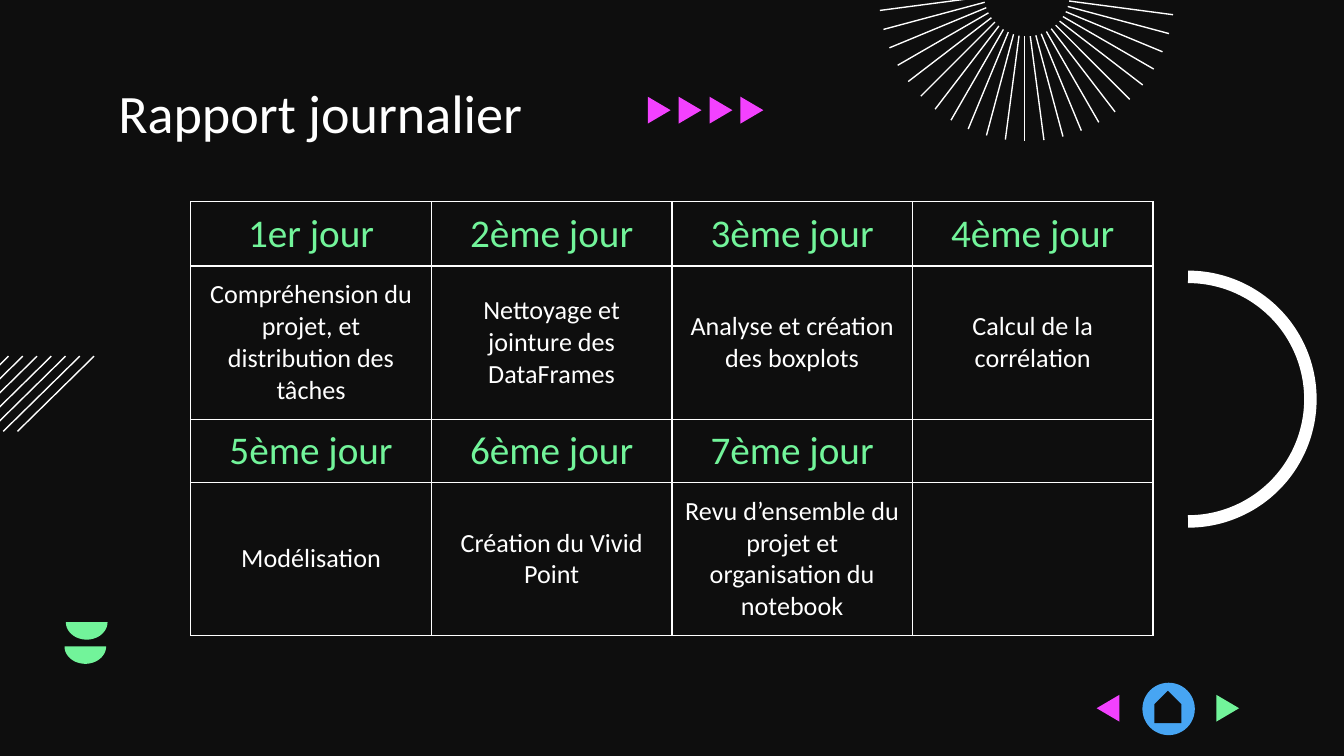
import math

import lxml.etree
import pptx
import pptx.dml.color
import pptx.enum.shapes
import pptx.enum.text
import pptx.oxml.ns
import pptx.util

Inches = pptx.util.Inches
Pt = pptx.util.Pt
RGBColor = pptx.dml.color.RGBColor
MSO_SHAPE = pptx.enum.shapes.MSO_SHAPE
MSO_ANCHOR = pptx.enum.text.MSO_ANCHOR
PP_ALIGN = pptx.enum.text.PP_ALIGN
qn = pptx.oxml.ns.qn

BLACK = RGBColor(0x0E, 0x0E, 0x0E)
WHITE = RGBColor(0xFF, 0xFF, 0xFF)
GREEN = RGBColor(0x72, 0xF4, 0x9A)
PINK = RGBColor(0xF3, 0x41, 0xFF)
BLUE = RGBColor(0x47, 0xA5, 0xF3)
FONT = "Calibri"

SCHEDULE = [
    ["1er jour", "2ème jour", "3ème jour", "4ème jour"],
    [
        "Compréhension du projet, et distribution des tâches",
        "Nettoyage et jointure des DataFrames",
        "Analyse et création des boxplots",
        "Calcul de la corrélation",
    ],
    ["5ème jour", "6ème jour", "7ème jour", ""],
    [
        "Modélisation",
        "Création du Vivid Point",
        "Revu d’ensemble du projet et organisation du notebook",
        "",
    ],
]
ROW_HEIGHTS = [0.48, 1.14, 0.47, 1.14]


def format_text(paragraph, size, color, alignment):
    paragraph.alignment = alignment
    paragraph.font.name = FONT
    paragraph.font.size = Pt(size)
    paragraph.font.color.rgb = color


def fill_plain(shape, color):
    shape.shadow.inherit = False
    shape.fill.solid()
    shape.fill.fore_color.rgb = color
    shape.line.fill.background()


def add_polygon(slide, points, color):
    corners = [(Inches(x), Inches(y)) for x, y in points]
    builder = slide.shapes.build_freeform(*corners[0])
    builder.add_line_segments(corners[1:])
    fill_plain(builder.convert_to_shape(), color)


def add_triangle(slide, base_x, top, color, direction=1):
    """Draw a triangle pointing right (direction 1) or left (direction -1)."""
    tip_x = base_x + 0.17 * direction
    points = [(base_x, top), (tip_x, top + 0.1), (base_x, top + 0.2)]
    add_polygon(slide, points, color)


def add_half_disc(slide, left, top):
    radius, depth, steps = 0.155, 0.13, 32
    angles = [math.pi * step / steps for step in range(steps + 1)]
    points = [
        (left + radius * (1 - math.cos(angle)), top + depth * math.sin(angle))
        for angle in angles
    ]
    add_polygon(slide, points, GREEN)


def add_line(slide, start, end):
    line = slide.shapes.add_connector(
        pptx.enum.shapes.MSO_CONNECTOR.STRAIGHT,
        *[Inches(value) for value in (*start, *end)],
    )
    line.line.color.rgb = WHITE
    line.line.width = Pt(0.75)
    properties = line._element.find(qn("p:spPr"))
    lxml.etree.SubElement(properties, qn("a:effectLst"))


def add_sunburst(slide):
    """Fan out rays whose midpoints are turned slightly against their direction."""
    center_x, center_y = 7.64, -0.05
    middle_radius, half_length = 0.71, 0.39
    turn = math.radians(1.3)
    for step in range(-11, 12):
        angle = math.radians(7.5 * step)
        middle_x = center_x + middle_radius * math.sin(angle - turn)
        middle_y = center_y + middle_radius * math.cos(angle - turn)
        across = half_length * math.sin(angle)
        down = half_length * math.cos(angle)
        add_line(
            slide,
            (middle_x - across, middle_y - down),
            (middle_x + across, middle_y + down),
        )


def add_half_ring(slide):
    arc = slide.shapes.add_shape(
        MSO_SHAPE.ARC, Inches(7.93), Inches(2.06), Inches(1.82), Inches(1.82)
    )
    # Angles are in 60000ths of a degree, scaled down by 100000
    arc.adjustments[0] = 270 * 0.6
    arc.adjustments[1] = 90 * 0.6
    arc.shadow.inherit = False
    arc.fill.background()
    arc.line.color.rgb = WHITE
    arc.line.width = Pt(6.69)


def add_home_button(slide):
    disc = slide.shapes.add_shape(
        MSO_SHAPE.OVAL, Inches(8.5), Inches(5.08), Inches(0.39), Inches(0.39)
    )
    fill_plain(disc, BLUE)
    house = slide.shapes.add_shape(
        MSO_SHAPE.PENTAGON, Inches(8.57), Inches(5.16), Inches(0.24), Inches(0.2)
    )
    house.rotation = 270
    fill_plain(house, BLACK)


def set_borders(cell):
    properties = cell._tc.get_or_add_tcPr()
    for position, side in enumerate(("a:lnL", "a:lnR", "a:lnT", "a:lnB")):
        border = lxml.etree.Element(qn(side), w=str(Pt(0.75)))
        fill = lxml.etree.SubElement(border, qn("a:solidFill"))
        lxml.etree.SubElement(fill, qn("a:srgbClr"), val=str(WHITE))
        properties.insert(position, border)


def add_schedule(slide):
    frame = slide.shapes.add_table(
        len(SCHEDULE), len(SCHEDULE[0]),
        Inches(1.42), Inches(1.5), Inches(7.16), Inches(sum(ROW_HEIGHTS)),
    )
    table = frame.table
    table.first_row = False
    table.horz_banding = False
    for row_index, texts in enumerate(SCHEDULE):
        table.rows[row_index].height = Inches(ROW_HEIGHTS[row_index])
        is_heading = row_index % 2 == 0
        for column_index, text in enumerate(texts):
            cell = table.cell(row_index, column_index)
            cell.text = text
            cell.fill.background()
            cell.vertical_anchor = MSO_ANCHOR.MIDDLE
            cell.margin_top = cell.margin_bottom = 0
            cell.margin_left = cell.margin_right = Inches(0 if is_heading else 0.08)
            size, color = (21, GREEN) if is_heading else (14, WHITE)
            format_text(cell.text_frame.paragraphs[0], size, color, PP_ALIGN.CENTER)
            set_borders(cell)


def set_title(slide, text):
    title = slide.shapes.title
    title.left, title.top = Inches(0.78), Inches(0.59)
    title.width, title.height = Inches(8.44), Inches(0.46)
    frame = title.text_frame
    frame.text = text
    frame.auto_size = pptx.enum.text.MSO_AUTO_SIZE.NONE
    frame.vertical_anchor = MSO_ANCHOR.TOP
    frame.margin_top = 0
    frame.margin_left = frame.margin_right = frame.margin_bottom = Inches(0.1)
    format_text(frame.paragraphs[0], 29, WHITE, PP_ALIGN.LEFT)


def main():
    presentation = pptx.Presentation()
    presentation.slide_width = Inches(10)
    presentation.slide_height = Inches(10 * 9 / 16)
    slide = presentation.slides.add_slide(presentation.slide_layouts[5])
    slide.background.fill.solid()
    slide.background.fill.fore_color.rgb = BLACK

    set_title(slide, "Rapport journalier")
    add_half_disc(slide, 0.48, 4.81)
    add_half_disc(slide, 0.49, 4.63)
    for index in range(7):
        right = 0.7 - 0.106 * index
        add_line(slide, (right, 2.65), (right - 0.57, 3.21))
    add_schedule(slide)
    for index in range(4):
        add_triangle(slide, 4.82 + 0.23 * index, 0.72, PINK)
    add_sunburst(slide)
    add_half_ring(slide)
    add_home_button(slide)
    add_triangle(slide, 8.33, 5.17, PINK, direction=-1)
    add_triangle(slide, 9.05, 5.17, GREEN)

    presentation.save("out.pptx")


if __name__ == "__main__":
    main()
